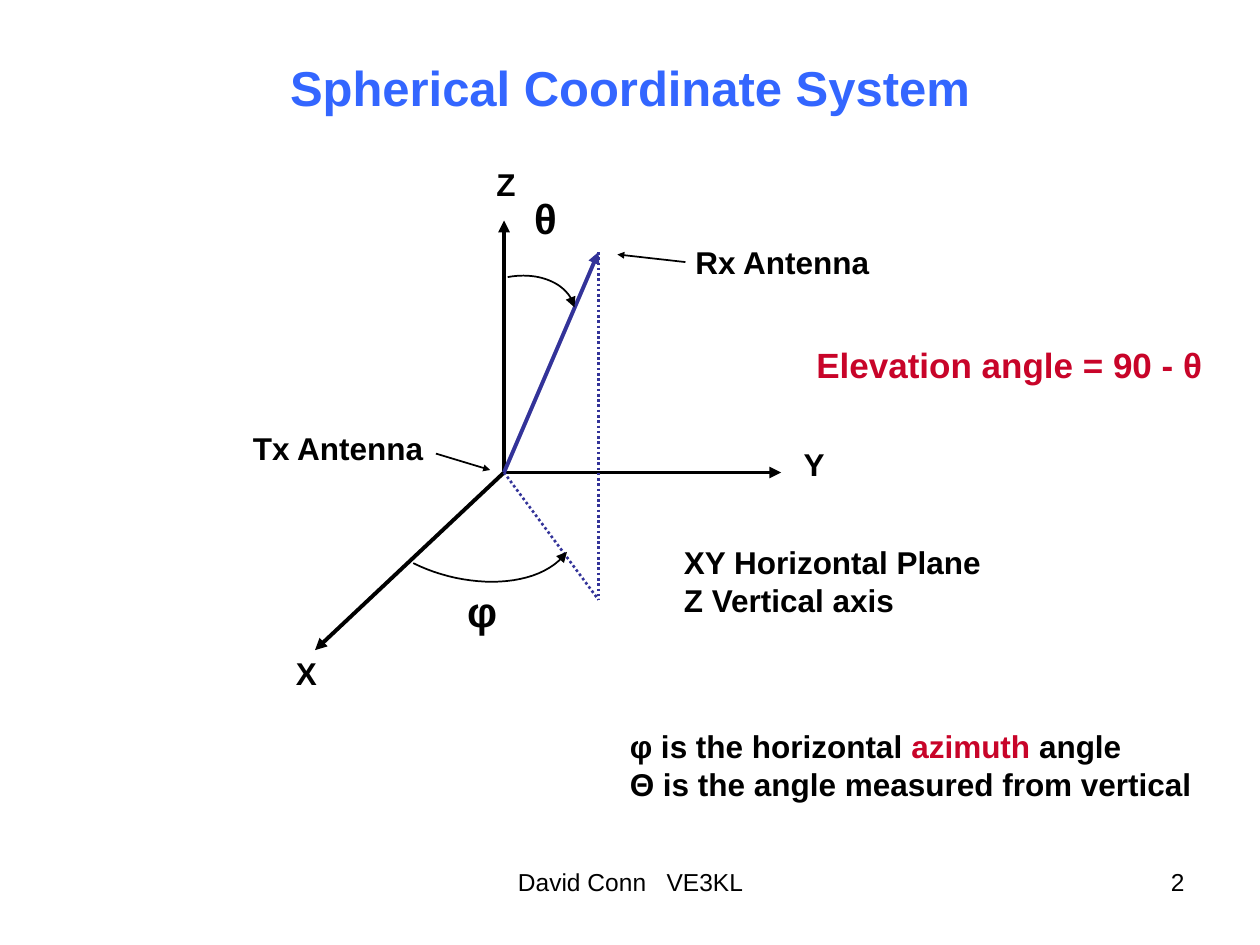
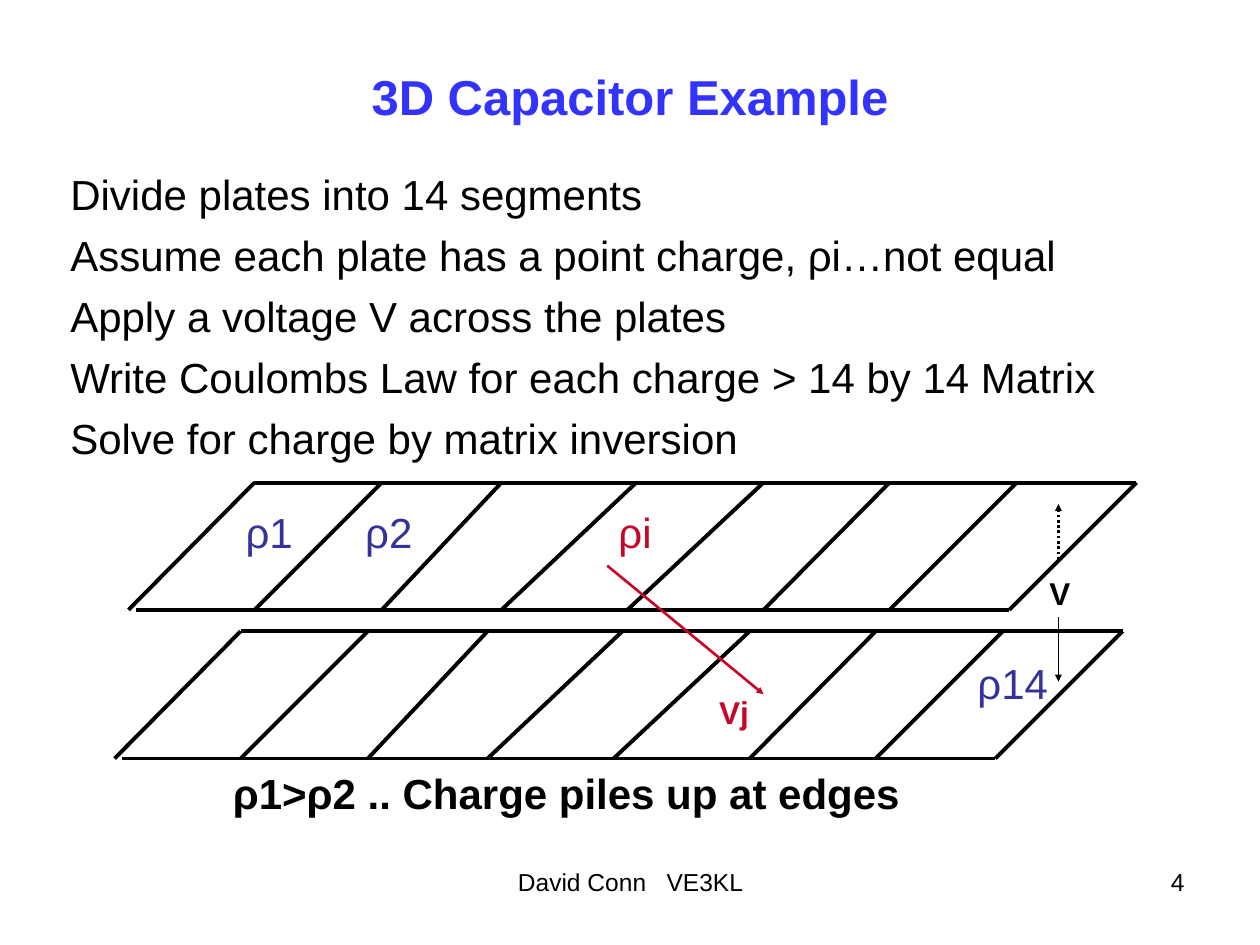
from lxml.etree import SubElement
from pptx import Presentation
from pptx.dml.color import RGBColor
from pptx.enum.dml import MSO_LINE
from pptx.enum.shapes import MSO_CONNECTOR
from pptx.enum.text import MSO_ANCHOR, MSO_AUTO_SIZE, PP_ALIGN
from pptx.oxml.ns import qn
from pptx.util import Inches, Pt

COLORS = {
    "ink": "000000",
    "sky": "3366FF",
    "blue": "3333FF",
    "navy": "333399",
    "red": "C80429",
}
FONT = "Arial"
FOOTER = "David Conn   VE3KL"


def rgb(name):
    return RGBColor.from_string(COLORS[name])


class Deck:
    """Holds the style and the slide being drawn."""

    def __init__(self):
        self.prs = Presentation()
        self.prs.slide_width, self.prs.slide_height = Inches(10), Inches(7.5)
        self.s = None

    def slide(self, title, number, color, height, bottom=0.05):
        self.s = self.prs.slides.add_slide(self.prs.slide_layouts[6])
        tf = self.text(title, 0.5, 0.3, 9, height, size=28, color=color, wrap=True,
                       align=PP_ALIGN.CENTER)
        tf.vertical_anchor = MSO_ANCHOR.MIDDLE
        tf.margin_bottom = Inches(bottom)
        for text, x, w, align in ((FOOTER, 3.42, 3.17, PP_ALIGN.CENTER),
                                  (number, 7.17, 2.33, PP_ALIGN.RIGHT)):
            self.text(text, x, 6.83, w, 0.52, size=14, bold=False, wrap=True, align=align)

    def text(self, lines, x, y, w, h=0.4, size=18, color="ink", bold=True, wrap=False,
             align=PP_ALIGN.LEFT, space_before=None):
        """Each line is a string or a list of (text, color) runs."""
        tf = self.s.shapes.add_textbox(Inches(x), Inches(y), Inches(w), Inches(h)).text_frame
        tf.word_wrap = wrap
        tf.auto_size = MSO_AUTO_SIZE.NONE if wrap else MSO_AUTO_SIZE.SHAPE_TO_FIT_TEXT
        lines = [lines] if isinstance(lines, str) else lines
        for i, line in enumerate(lines):
            p = tf.add_paragraph() if i else tf.paragraphs[0]
            for key, value in {"alignment": align, "space_before": space_before}.items():
                setattr(p, key, value)
            for text, run_color in [(line, color)] if isinstance(line, str) else line:
                r = p.add_run()
                r.text = text
                for key, value in {"name": FONT, "size": Pt(size), "bold": bold}.items():
                    setattr(r.font, key, value)
                r.font.color.rgb = rgb(run_color)
        return tf

    def stroke(self, sp, color, width, dotted=False, arrow=None):
        """The arrow is the head's size, "sm" or "med"."""
        sp.line.color.rgb = rgb(color)
        sp.line.width = Pt(width)
        if dotted:
            sp.line.dash_style = MSO_LINE.ROUND_DOT
        if arrow:
            SubElement(sp.line._get_or_add_ln(), qn("a:tailEnd"),
                       type="triangle", w=arrow, len=arrow)

    def line(self, start, end, color="ink", width=2.25, shapes=None, **style):
        ends = [Inches(v) for v in (*start, *end)]
        sp = (shapes or self.s.shapes).add_connector(MSO_CONNECTOR.STRAIGHT, *ends)
        self.stroke(sp, color, width, **style)
        SubElement(sp._element.spPr, qn("a:effectLst"))

    def arc(self, *controls, steps=24):
        """Arrowed cubic curve through four control points."""
        points = []
        for i in range(steps + 1):
            t = i / steps
            weights = ((1 - t) ** 3, 3 * t * (1 - t) ** 2, 3 * t ** 2 * (1 - t), t ** 3)
            points.append(tuple(Inches(sum(w * v for w, v in zip(weights, axis)))
                                for axis in zip(*controls)))
        fb = self.s.shapes.build_freeform(*points[0])
        fb.add_line_segments(points[1:], close=False)
        sp = fb.convert_to_shape()
        sp.shadow.inherit = False
        sp.fill.background()
        self.stroke(sp, "ink", 1, arrow="med")

    def plate(self, x, y, depth=1.01):
        """Slanted capacitor plate of seven segments, grouped."""
        shapes = self.s.shapes.add_group_shape().shapes
        tops = (0, 1.01, 1.96, 3.03, 4.04, 5.04, 6.05, 7)
        bottoms = (-1, 0, 1.01, 1.96, 2.96, 4.04, 5.04, 5.99)
        for top, bottom in zip(tops, bottoms):
            self.line((x + top, y), (x + bottom, y + depth), shapes=shapes)
        self.line((x, y), (x + tops[-1], y), shapes=shapes)
        self.line((x + bottoms[-1], y + depth), (x - 0.94, y + depth), shapes=shapes)


def spherical_slide(d):
    d.slide("Spherical Coordinate System", "2", "sky", 1.25, bottom=0.52)
    origin, receiver, shadow = (4, 3.75), (4.75, 2), (4.75, 4.76)

    # Axes, the vector to the receiver and its projection
    for tip in ((4, 1.75), (2.5, 5.16), (6.2, 3.75)):
        d.line(origin, tip, arrow="med")
    d.line(origin, receiver, "navy", arrow="med")
    for start in (receiver, origin):
        d.line(start, shadow, "navy", 1.5, dotted=True)

    # Angles
    d.arc((3.28, 4.47), (3.7, 4.68), (4.28, 4.68), (4.5, 4.38))
    d.arc((4.03, 2.2), (4.29, 2.15), (4.52, 2.26), (4.56, 2.44))
    d.text("φ", 3.61, 4.6, 0.44, 0.5, size=24)
    d.text("θ", 4.14, 1.48, 0.38, 0.5, size=24)

    # Labels and pointers
    for label, x, y, w in (("X", 2.25, 5.14, 0.36), ("Y", 6.28, 3.48, 0.36),
                           ("Z", 3.84, 1.26, 0.35), ("Rx Antenna", 5.42, 1.88, 1.59),
                           ("Tx Antenna", 1.91, 3.36, 1.56)):
        d.text(label, x, y, w)
    d.line((3.46, 3.6), (3.89, 3.73), width=1, arrow="sm")
    d.line((5.44, 2.08), (4.9, 2.02), width=1, arrow="sm")

    # Notes
    d.text("Elevation angle = 90 - θ", 6.38, 2.68, 3.28, 0.44, size=20, color="red")
    d.text(["XY Horizontal Plane", "Z Vertical axis"], 5.33, 4.26, 2.56, 0.7)
    d.text([[("φ is the horizontal ", "ink"), ("azimuth", "red"), (" angle", "ink")],
            "Θ is the angle measured from vertical"], 4.9, 5.72, 4.66, 0.7)


def capacitor_slide(d):
    d.slide("3D Capacitor Example", "4", "blue", 0.93)
    d.text(["Divide plates into 14 segments",
            "Assume each plate has a point charge, ρi…not equal",
            "Apply a voltage V across the plates",
            "Write Coulombs Law for each charge > 14 by 14 Matrix",
            "Solve for charge by matrix inversion"],
           0.46, 1.29, 9, 5.54, size=24, bold=False, wrap=True, space_before=Pt(6))

    # Plates
    d.plate(2.02, 3.83)
    d.plate(1.91, 5.01)

    # Charges
    for label, x, y, w, color in (("ρ1", 1.85, 3.97, 0.58, "navy"),
                                  ("ρ2", 2.8, 3.97, 0.58, "navy"),
                                  ("ρi", 4.81, 3.97, 0.47, "red"),
                                  ("ρ14", 7.66, 5.17, 0.77, "navy")):
        d.text(label, x, y, w, 0.5, size=24, color=color, bold=False)

    # Voltages
    d.text("V", 8.23, 4.51, 0.37)
    d.line((8.4, 4.44), (8.4, 4), width=1.5, dotted=True, arrow="sm")
    d.line((8.4, 4.9), (8.4, 5.41), width=1, arrow="sm")
    d.line((4.82, 4.49), (6.06, 5.51), "red", 1.5, arrow="sm")
    d.text("Vj", 5.61, 5.45, 0.46, color="red")

    # Conclusion
    d.text("ρ1>ρ2 .. Charge piles up at edges", 1.75, 6.04, 5.83, 0.5, size=24, wrap=True)


def main():
    d = Deck()
    spherical_slide(d)
    capacitor_slide(d)
    d.prs.save("out.pptx")


if __name__ == "__main__":
    main()
